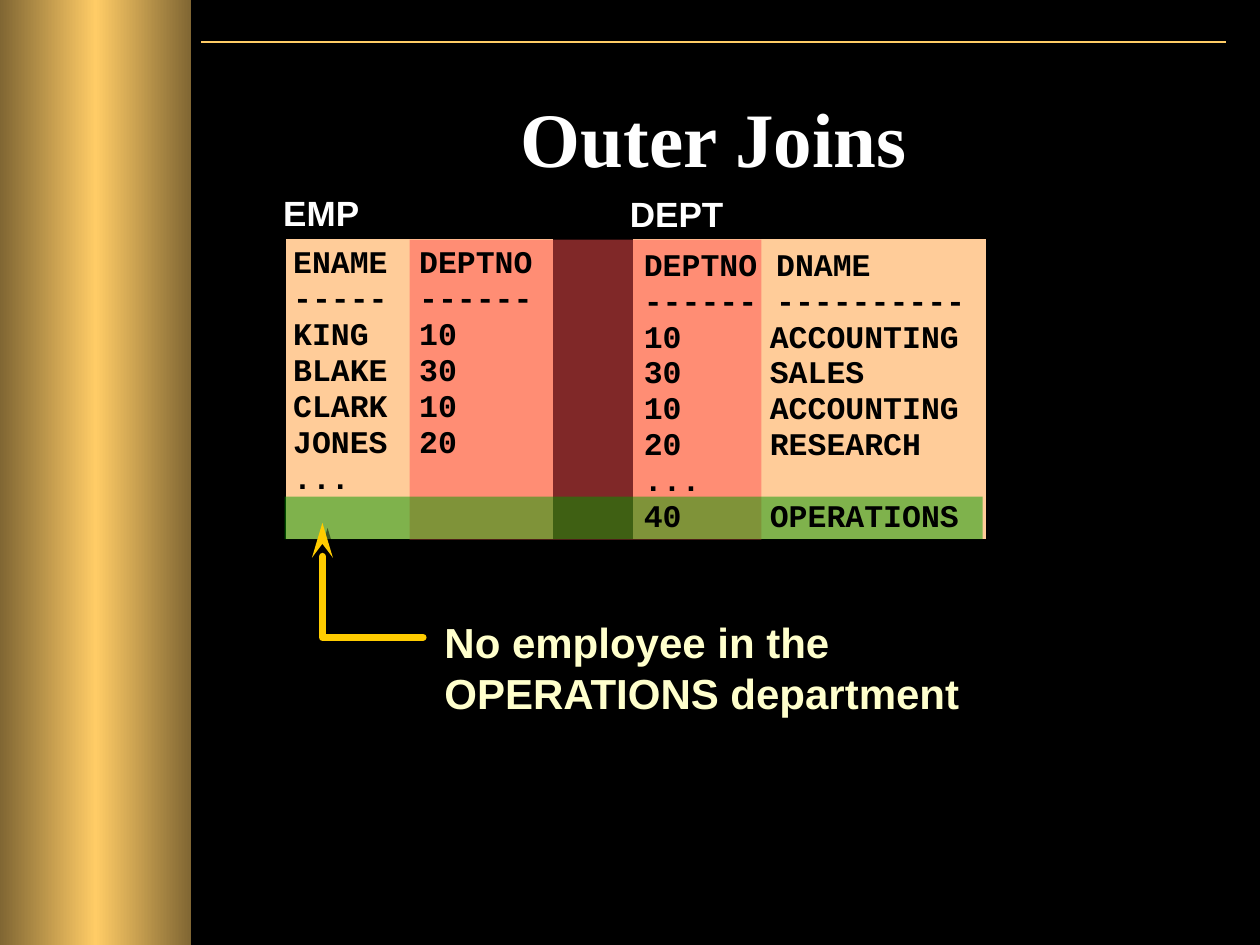
from pptx import Presentation
from pptx.dml.color import RGBColor
from pptx.enum.shapes import MSO_CONNECTOR, MSO_SHAPE
from pptx.enum.text import PP_ALIGN
from pptx.oxml import parse_xml
from pptx.oxml.ns import nsdecls
from pptx.util import Cm, Pt
from lxml import etree

THEME = {
    "black": "000000", "white": "FFFFFF", "gold": "FFCC66", "dark_gold": "806633",
    "peach": "FFCC99", "red": "FF5050", "green": "009900",
    "cream": "FFFFCC", "arrow": "FFCC00",
    "title_size": 44, "label_size": 20, "callout_size": 24, "code_size": 18,
    "title_font": "Times New Roman", "body_font": "Arial", "code_font": "Courier New",
}


def add_box(x, y, width, height, color, alpha=None, outline=None):
    """Add a filled rectangle, optionally see-through or outlined."""
    box = slide.shapes.add_shape(MSO_SHAPE.RECTANGLE, Cm(x), Cm(y), Cm(width), Cm(height))
    box.shadow.inherit = False
    box.fill.solid()
    box.fill.fore_color.rgb = RGBColor.from_string(THEME[color])
    if alpha:
        tint = box.fill._xPr.find(".//a:srgbClr", NS)
        etree.SubElement(tint, A + "alpha", val=str(alpha * 1000))
    if outline:
        box.line.color.rgb = RGBColor.from_string(THEME[outline])
        box.line.width = Pt(2)
    else:
        box.line.fill.background()
    return box


def add_text(x, y, width, height, lines, kind, font, color, before=1.5, wrap=True):
    """Add a bold text box with one paragraph per line and return its frame."""
    frame = slide.shapes.add_textbox(Cm(x), Cm(y), Cm(width), Cm(height)).text_frame
    frame.word_wrap = wrap
    frame.text = "\n".join(lines)
    for paragraph in frame.paragraphs:
        paragraph.space_before = Pt(before)
        for run in paragraph.runs:
            run.font.name = THEME[font]
            run.font.size = Pt(THEME[kind])
            run.font.bold = True
            run.font.color.rgb = RGBColor.from_string(THEME[color])
    return frame


prs = Presentation()
prs.slide_width, prs.slide_height = Cm(25.4), Cm(19.05)
slide = prs.slides.add_slide(prs.slide_layouts[6])
slide.background.fill.solid()
slide.background.fill.fore_color.rgb = RGBColor.from_string(THEME["black"])
A = "{http://schemas.openxmlformats.org/drawingml/2006/main}"
NS = {"a": A[1:-1]}

# Rule and gold side band
rule = slide.shapes.add_connector(MSO_CONNECTOR.STRAIGHT, Cm(4.06), Cm(0.84), Cm(24.71), Cm(0.84))
rule.line.color.rgb = RGBColor.from_string(THEME["gold"])
rule.line.width = Pt(1)
etree.SubElement(rule._element.spPr, A + "effectLst")

band = add_box(0, 0, 3.86, 19.05, "gold")
stops = "".join(
    f'<a:gs pos="{pos * 1000}"><a:srgbClr val="{THEME[color]}"/></a:gs>'
    for pos, color in [(0, "dark_gold"), (50, "gold"), (100, "dark_gold")])
solid = band._element.spPr.find("a:solidFill", NS)
solid.getparent().replace(solid, parse_xml(
    f'<a:gradFill {nsdecls("a")}><a:gsLst>{stops}</a:gsLst><a:lin ang="0" scaled="1"/></a:gradFill>'))

# Panels, heading and labels
add_box(5.74, 4.78, 5.44, 6.12, "peach", outline="black")
add_box(12.73, 4.78, 7.19, 6.12, "peach", outline="black")
title = add_text(4.04, 1.7, 20.7, 3.18, ["Outer Joins"], "title_size", "title_font", "white", before=5)
title.paragraphs[0].alignment = PP_ALIGN.CENTER
add_text(5.46, 3.73, 2.24, 1.09, ["EMP"], "label_size", "body_font", "white", wrap=False)
add_text(12.45, 3.76, 2.59, 1.09, ["DEPT"], "label_size", "body_font", "white")

# Join column and unmatched row
add_box(8.26, 4.83, 7.09, 6.05, "red", alpha=50)
add_box(5.74, 10.01, 14.07, 0.86, "green", alpha=50)

# Callout and its arrow
add_text(8.71, 12.3, 12.95, 2.29, ["No employee in the", "OPERATIONS department"],
         "callout_size", "body_font", "cream", before=0.5)
path = slide.shapes.build_freeform(Cm(8.53), Cm(12.85))
path.add_line_segments([(Cm(6.5), Cm(12.85)), (Cm(6.5), Cm(10.54))], close=False)
arrow = path.convert_to_shape()
arrow.fill.background()
arrow.line.color.rgb = RGBColor.from_string(THEME["arrow"])
arrow.line.width = Pt(4)
arrow.shadow.inherit = False
outline = arrow._element.spPr.find("a:ln", NS)
outline.set("cap", "rnd")
etree.SubElement(outline, A + "round")
etree.SubElement(outline, A + "tailEnd", type="stealth", len="lg")
arrow._element.spPr.find("a:effectLst", NS).append(parse_xml(
    f'<a:outerShdw {nsdecls("a")} dist="53340" dir="2700000"><a:srgbClr val="{THEME["black"]}">'
    '<a:alpha val="50000"/></a:srgbClr></a:outerShdw>'))

# Query listings, aligned on tab stops
emp_lines = ["ENAME\tDEPTNO", "-----\t------", "KING\t10", "BLAKE\t30",
             "CLARK\t10", "JONES\t20", "..."]
dept_lines = ["DEPTNO DNAME", "------ ----------", "10\tACCOUNTING", "30\tSALES",
              "10\tACCOUNTING", "20\tRESEARCH", "...", "40\tOPERATIONS"]
for x, y, width, lines in [(5.66, 4.78, 5.51, emp_lines), (12.73, 4.83, 7.11, dept_lines)]:
    listing = add_text(x, y, width, 6.05, lines, "code_size", "code_font", "black", before=0)
    listing.margin_top = Cm(0.16)
    for paragraph in listing.paragraphs:
        paragraph.line_spacing = 0.95
        tabs = etree.SubElement(paragraph._p.get_or_add_pPr(), A + "tabLst")
        for stop in (2.54, 5.23, 6.83):
            etree.SubElement(tabs, A + "tab", pos=str(Cm(stop)), algn="l")

prs.save("out.pptx")
